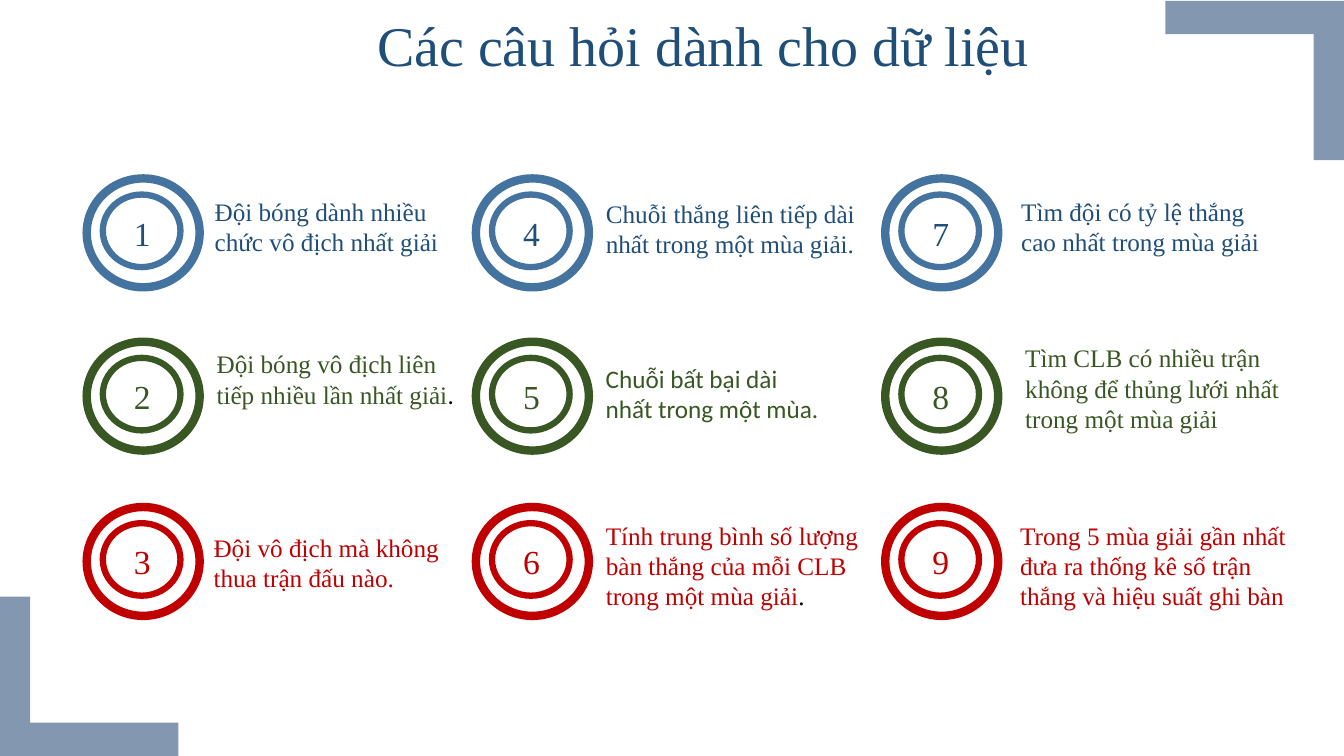
from dataclasses import dataclass

from pptx import Presentation
from pptx.dml.color import RGBColor
from pptx.enum.shapes import MSO_SHAPE as Shape
from pptx.enum.text import MSO_ANCHOR as Anchor, MSO_AUTO_SIZE as AutoSize, PP_ALIGN as Align
from pptx.util import Inches, Pt

NAVY = RGBColor(0x1F, 0x4E, 0x79)
BLUE = RGBColor(0x43, 0x73, 0x9E)
GREEN = RGBColor(0x38, 0x57, 0x23)
RED = RGBColor(0xC0, 0x00, 0x00)
BLACK = RGBColor(0x00, 0x00, 0x00)
SLATE = RGBColor(0x84, 0x97, 0xB0)
SERIF, SANS = "Times New Roman", "Calibri"
SLIDE_W, SLIDE_H = 13.33, 7.5

COLUMN_LEFTS = (0.86, 4.72, 8.78)
ROW_TOPS = (1.77, 3.39, 5.03)
ROW_COLORS = ((BLUE, NAVY), (GREEN, GREEN), (RED, RED))  # ring, text


@dataclass
class Question:
    lines: tuple
    box: tuple  # left, top, width, height
    wrap: bool = False
    font: str = SERIF
    stop_font: str = ""  # font of a closing black full stop


# Numbered down each column in turn
QUESTIONS = (
    Question(("Đội bóng dành nhiều", "chức vô địch nhất giải"), (2.03, 1.9, 2.65, 0.71), wrap=True),
    Question(("Đội bóng vô địch liên", "tiếp nhiều lần nhất giải"), (2.05, 3.41, 2.56, 1.01),
             wrap=True, stop_font=SANS),
    Question(("Đội vô địch mà không", "thua trận đấu nào."), (2.02, 5.23, 2.46, 0.71)),
    Question(("Chuỗi thắng liên tiếp dài", "nhất trong một mùa giải."), (5.91, 1.92, 2.69, 0.71),
             wrap=True),
    Question(("Chuỗi bất bại dài", "nhất trong một mùa."), (5.91, 3.55, 2.34, 0.71), font=SANS),
    Question(("Tính trung bình số lượng", "bàn thắng của mỗi CLB", "trong một mùa giải"),
             (5.91, 5.11, 2.79, 1.01), stop_font=SERIF),
    Question(("Tìm đội có tỷ lệ thắng", "cao nhất trong mùa giải"), (10.03, 1.9, 2.63, 0.71)),
    Question(("Tìm CLB có nhiều trận", "không để thủng lưới nhất trong một mùa giải"),
             (10.07, 3.35, 3.27, 1.01), wrap=True),
    Question(("Trong 5 mùa giải gần nhất", "đưa ra thống kê số trận", "thắng và hiệu suất ghi bàn"),
             (10.02, 5.11, 2.93, 1.01)),
)


def add_run(paragraph, text, *, size, color, font=SERIF):
    run = paragraph.add_run()
    run.text = text
    run.font.size, run.font.name = Pt(size), font
    run.font.color.rgb = color


def write(frame, lines, *, wrap=False, **run_format):
    """Put one paragraph per line into the frame and return the last one."""
    frame.word_wrap = wrap
    frame.auto_size = AutoSize.SHAPE_TO_FIT_TEXT
    frame.vertical_anchor = Anchor.TOP
    for index, line in enumerate(lines):
        paragraph = frame.add_paragraph() if index else frame.paragraphs[0]
        paragraph.alignment = Align.LEFT
        add_run(paragraph, line, **run_format)
    return paragraph


def add_title(slide, text, left, top, width, height):
    title = slide.shapes.title
    title.left, title.top = Inches(left), Inches(top)
    title.width, title.height = Inches(width), Inches(height)
    paragraph = write(title.text_frame, [text], size=40, color=NAVY)
    paragraph.line_spacing = 1.0


def add_badge(slide, number, left, top, ring_color, text_color):
    """Two rings around a number, grouped."""
    badge = slide.shapes.add_group_shape().shapes
    for inset, width, height, weight in ((0, 1.12, 1.08, 6), (0.16, 0.77, 0.72, 4.5)):
        ring = badge.add_shape(Shape.OVAL, Inches(left + inset), Inches(top + inset),
                               Inches(width), Inches(height))
        ring.shadow.inherit = False
        ring.fill.background()
        ring.line.color.rgb = ring_color
        ring.line.width = Pt(weight)
    label = badge.add_textbox(Inches(left + 0.37), Inches(top + 0.29), Inches(0.37), Inches(0.5))
    write(label.text_frame, [str(number)], size=24, color=text_color)


def add_question(slide, question, color):
    area = slide.shapes.add_textbox(*map(Inches, question.box))
    closing = write(area.text_frame, question.lines, wrap=question.wrap,
                    size=18, color=color, font=question.font)
    if question.stop_font:
        add_run(closing, ".", size=18, color=BLACK, font=question.stop_font)


def add_corner(slide, x, y, toward_x, toward_y):
    """An angle at corner (x, y) whose arms run in the given directions."""
    outline = ((0, 0), (1.77, 0), (1.77, 0.33), (0.3, 0.33), (0.3, 1.58), (0, 1.58))
    points = [(Inches(x + toward_x * dx), Inches(y + toward_y * dy)) for dx, dy in outline]
    builder = slide.shapes.build_freeform(*points[0])
    builder.add_line_segments(points[1:], close=True)
    corner = builder.convert_to_shape()
    corner.shadow.inherit = False
    corner.fill.solid()
    corner.fill.fore_color.rgb = SLATE
    corner.line.fill.background()


def build_questions_slide(deck):
    slide = deck.slides.add_slide(deck.slide_layouts[5])
    add_title(slide, "Các câu hỏi dành cho dữ liệu", 3.64, 0.05, 6.74, 0.77)

    # Grid of numbered questions
    for index, question in enumerate(QUESTIONS):
        column, row = divmod(index, len(ROW_TOPS))
        ring_color, text_color = ROW_COLORS[row]
        add_badge(slide, index + 1, COLUMN_LEFTS[column], ROW_TOPS[row], ring_color, text_color)
        add_question(slide, question, text_color)

    # Corner angles
    add_corner(slide, 0, SLIDE_H, 1, -1)
    add_corner(slide, SLIDE_W, 0.01, -1, 1)


def main():
    deck = Presentation()
    deck.slide_width, deck.slide_height = Inches(SLIDE_W), Inches(SLIDE_H)
    build_questions_slide(deck)
    deck.save("out.pptx")


if __name__ == "__main__":
    main()
